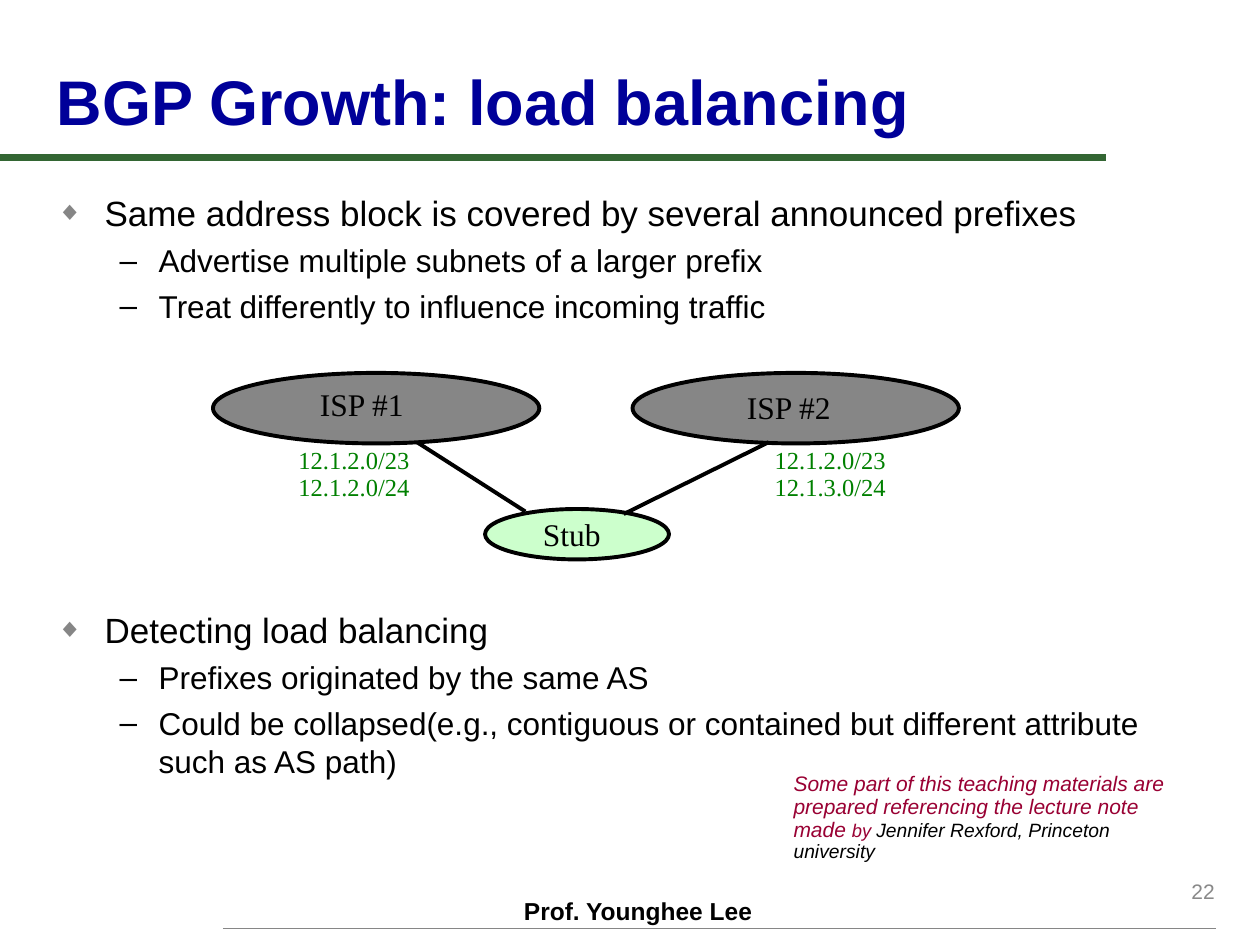
from lxml.etree import SubElement
from pptx import Presentation
from pptx.dml.color import RGBColor
from pptx.enum.shapes import MSO_CONNECTOR as Connector, MSO_SHAPE as Shape
from pptx.enum.text import MSO_ANCHOR as Anchor, MSO_AUTO_SIZE as AutoSize, PP_ALIGN as Align
from pptx.oxml.ns import qn
from pptx.util import Inches, Pt

COLORS = {
    "title": "000099", "rule": "336633", "gray": "868686", "number": "898989",
    "black": "000000", "stub": "CCFFCC", "prefix": "008000", "credit": "990033",
}
SANS, SERIF = "Arial", "Times New Roman"


def rgb(name):
    return RGBColor.from_string(COLORS[name])


def add_run(paragraph, text, size=18, font=SANS, color="black", bold=False, italic=False):
    run = paragraph.add_run()
    run.text = text
    run.font.size, run.font.name = Pt(size), font
    run.font.bold, run.font.italic = bold, italic
    run.font.color.rgb = rgb(color)


def set_bullet(paragraph, char, color, margin, hanging, percent=100):
    properties = paragraph._p.get_or_add_pPr()
    properties.set("marL", str(Inches(margin)))
    properties.set("indent", str(-Inches(hanging)))
    bullet_color = SubElement(properties, qn("a:buClr"))
    SubElement(bullet_color, qn("a:srgbClr"), val=COLORS[color])
    SubElement(properties, qn("a:buSzPct"), val=str(percent * 1000))
    SubElement(properties, qn("a:buFont"), typeface=SANS)
    SubElement(properties, qn("a:buChar"), char=char)


def place(shape, left, top, width, height):
    shape.left, shape.top = Inches(left), Inches(top)
    shape.width, shape.height = Inches(width), Inches(height)


class SlideBuilder:
    def __init__(self, presentation):
        self.slide = presentation.slides.add_slide(presentation.slide_layouts[1])
        self.shapes = self.slide.shapes

    def title(self, text, box):
        title = self.shapes.title
        place(title, *box)
        frame = title.text_frame
        frame.auto_size, frame.vertical_anchor = AutoSize.NONE, Anchor.BOTTOM
        paragraph = frame.paragraphs[0]
        paragraph.alignment = Align.LEFT
        add_run(paragraph, text, size=36, color="title", bold=True)

    def body(self, items, box):
        """Fill the body with (level, text, points before) items."""
        body = self.slide.placeholders[1]
        place(body, *box)
        frame = body.text_frame
        frame.auto_size = AutoSize.NONE
        for index, (level, text, before) in enumerate(items):
            paragraph = frame.add_paragraph() if index else frame.paragraphs[0]
            paragraph.level = level
            paragraph.space_before = Pt(before)
            if level:
                set_bullet(paragraph, "–", "black", 0.81, 0.31)
            else:
                set_bullet(paragraph, "◆", "gray", 0.38, 0.38, percent=75)
            add_run(paragraph, text, size=18 if level else 20)

    def text(self, paragraphs, box, wrap=True, spacing=None, align=Align.LEFT,
             anchor=Anchor.TOP, grow=True):
        """Add a text box; each paragraph is a list of (text, format) runs."""
        frame = self.shapes.add_textbox(*map(Inches, box)).text_frame
        frame.word_wrap, frame.vertical_anchor = wrap, anchor
        frame.auto_size = AutoSize.SHAPE_TO_FIT_TEXT if grow else AutoSize.NONE
        for index, runs in enumerate(paragraphs):
            paragraph = frame.add_paragraph() if index else frame.paragraphs[0]
            paragraph.alignment, paragraph.line_spacing = align, spacing
            for text, style in runs:
                add_run(paragraph, text, **style)

    def ellipse(self, box, fill):
        shape = self.shapes.add_shape(Shape.OVAL, *map(Inches, box))
        shape.shadow.inherit = False
        shape.fill.solid()
        shape.fill.fore_color.rgb = rgb(fill)
        shape.line.color.rgb = rgb("black")
        shape.line.width = Pt(2.25)

    def line(self, start, end, color="black", width=2.25):
        points = map(Inches, (*start, *end))
        connector = self.shapes.add_connector(Connector.STRAIGHT, *points)
        connector.line.color.rgb = rgb(color)
        connector.line.width = Pt(width)
        SubElement(connector._element.spPr, qn("a:effectLst"))


def main():
    presentation = Presentation()
    presentation.slide_width, presentation.slide_height = Inches(10), Inches(7.5)
    builder = SlideBuilder(presentation)

    builder.line((0, 1.25), (8.78, 1.25), "rule", 4)
    builder.line((1.77, 7.37), (9.65, 7.37), "gray", 1)
    builder.text([[("Prof. Younghee Lee", {"size": 14, "bold": True})]], (4.06, 7.06, 2.08, 0.33))
    builder.text([[("22", {"size": 12, "color": "number"})]], (7.66, 6.82, 2.08, 0.5),
                 align=Align.RIGHT, anchor=Anchor.MIDDLE, grow=False)

    builder.title("BGP Growth: load balancing", (0.35, 0.44, 8.42, 0.71))
    builder.body([
        (0, "Same address block is covered by several announced prefixes", 4),
        (1, "Advertise multiple subnets of a larger prefix", 4.5),
        (1, "Treat differently to influence incoming traffic", 4.5),
        (0, "Detecting load balancing", 162),
        (1, "Prefixes originated by the same AS", 4.5),
        (1, "Could be collapsed(e.g., contiguous or contained but different attribute "
            "such as AS path)", 4.5),
    ], (0.35, 1.47, 9.17, 2.52))

    for left in (1.69, 5.02):
        builder.ellipse((left, 2.96, 2.59, 0.56), "gray")
    builder.ellipse((3.85, 4.04, 1.46, 0.4), "stub")
    for name, left, top, width in (("ISP #1", 2.44, 3.01, 0.87),
                                   ("ISP #2", 5.83, 3.03, 0.87),
                                   ("Stub", 4.21, 4.04, 0.66)):
        builder.text([[(name, {"font": SERIF})]], (left, top, width, 0.4), wrap=False)
    builder.line((3.31, 3.51), (4.17, 4.06))
    builder.line((6.1, 3.51), (4.95, 4.08))

    prefix_style = {"size": 14, "font": SERIF, "color": "prefix"}
    for left, prefixes in ((2.27, ("12.1.2.0/23", "12.1.2.0/24")),
                           (6.05, ("12.1.2.0/23", "12.1.3.0/24"))):
        builder.text([[(prefix, prefix_style)] for prefix in prefixes],
                     (left, 3.51, 1.21, 0.53), spacing=0.9)

    credit_style = {"color": "credit", "italic": True}
    builder.text([[
        ("Some part of this teaching materials are prepared referencing the lecture note made ",
         {**credit_style, "size": 12}),
        ("by ", {**credit_style, "size": 10.5}),
        ("Jennifer Rexford, Princeton university", {"size": 11, "italic": True}),
    ]], (6.2, 6.09, 3.27, 0.83), spacing=0.9)

    presentation.save("out.pptx")


if __name__ == "__main__":
    main()
